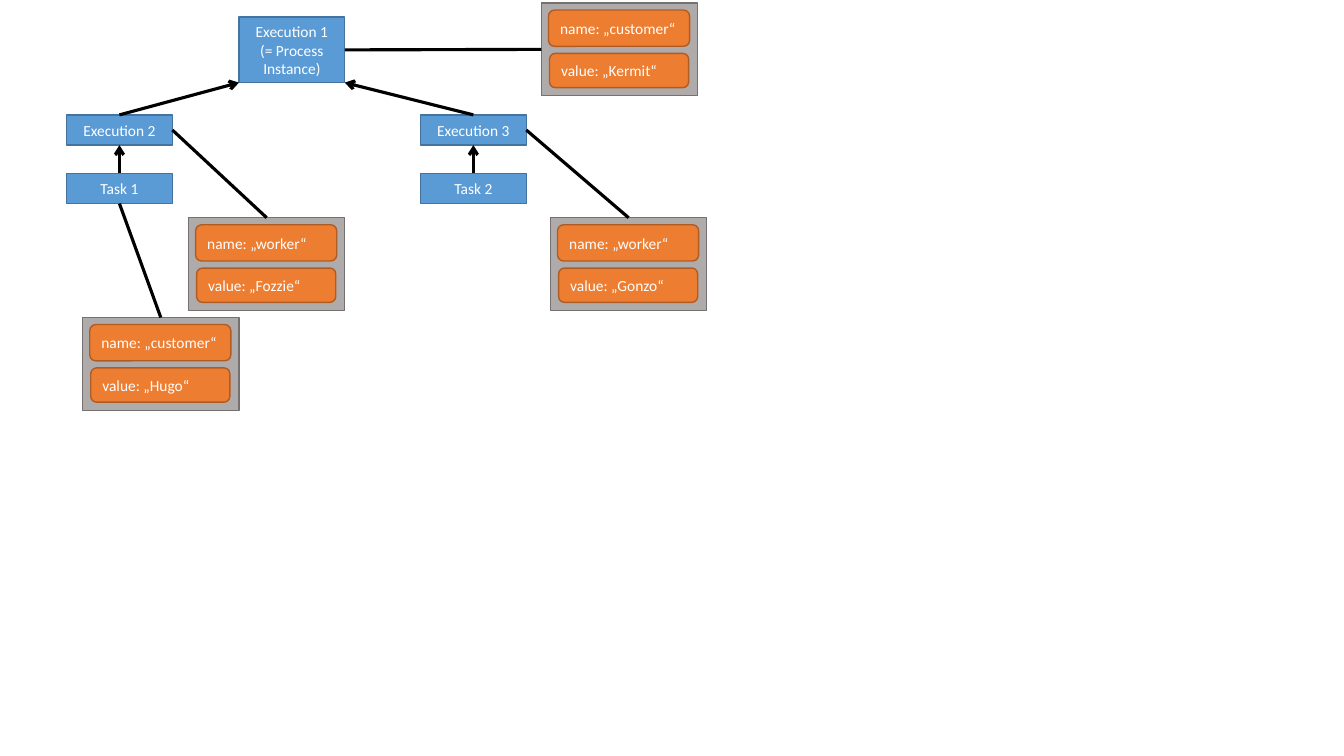
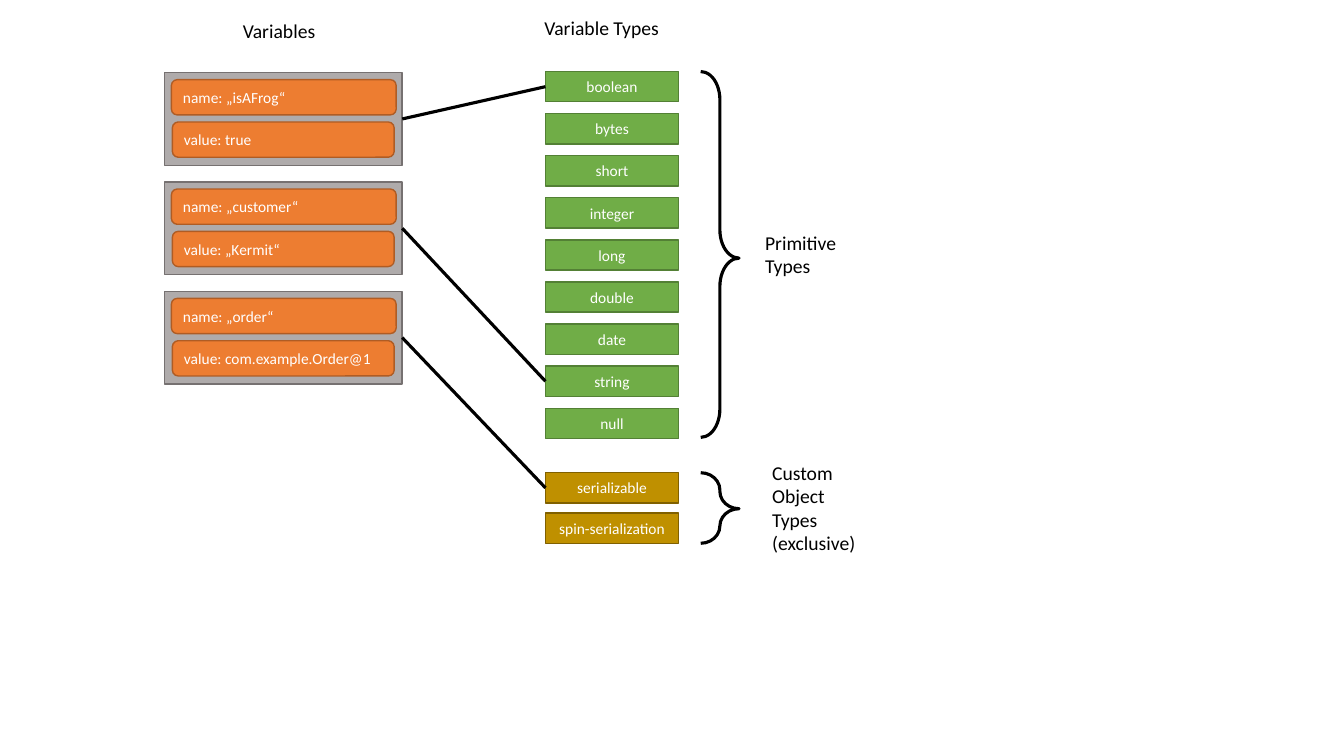
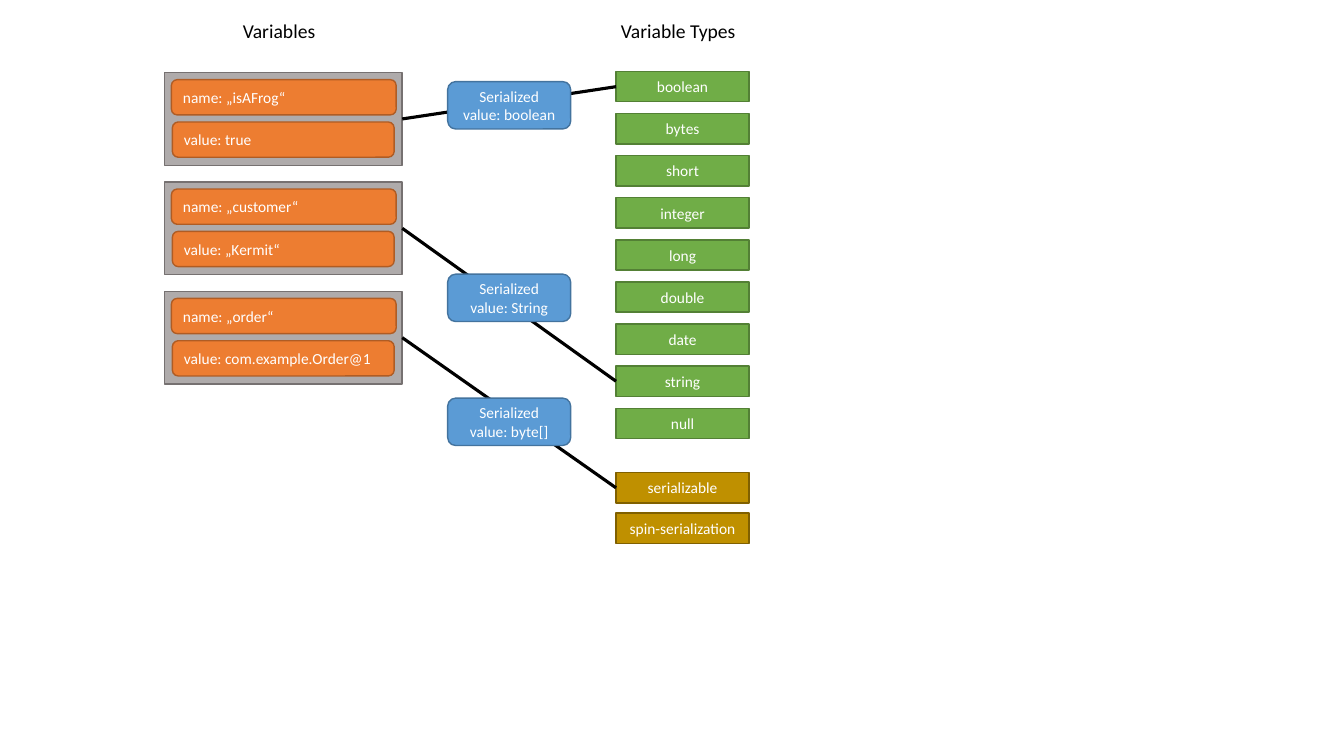
from dataclasses import dataclass

from lxml import etree
from pptx import Presentation
from pptx.dml.color import RGBColor
from pptx.enum.shapes import MSO_CONNECTOR, MSO_SHAPE as Preset
from pptx.enum.text import MSO_ANCHOR, MSO_AUTO_SIZE, PP_ALIGN as Align
from pptx.oxml.ns import qn
from pptx.util import Emu, Pt

PX = 9144  # EMU per px, 100 px to the inch


# Theme: colours are (fill, outline) pairs, sizes are points
@dataclass(frozen=True)
class Theme:
    font: str = "Calibri"
    box_size: int = 11
    label_size: int = 14
    border: float = 1
    stroke: float = 2.25
    white: str = "FFFFFF"
    black: str = "000000"
    blue: tuple = ("5B9BD5", "43739E")
    green: tuple = ("70AD47", "538035")
    gold: tuple = ("BF9000", "806000")
    grey: tuple = ("AFABAB", "767171")
    orange: tuple = ("ED7D31", "AF5C24")


THEME = Theme()

# Execution tree: key -> (paragraphs, frame)
EXECUTIONS = {
    "execution 1": (["Execution 1", "(= Process Instance)"], (237, 17, 105, 65)),
    "execution 2": (["Execution 2"], (66, 114, 105, 30)),
    "execution 3": (["Execution 3"], (417, 114, 105, 30)),
    "task 1": (["Task 1"], (66, 172, 105, 30)),
    "task 2": (["Task 2"], (417, 172, 105, 30)),
}
PARENTS = [  # child, parent, side of the parent
    ("task 2", "execution 3", "bottom"),
    ("execution 3", "execution 1", "bottom right"),
    ("execution 2", "execution 1", "bottom left"),
    ("task 1", "execution 2", "bottom"),
]
SCOPED_VARIABLES = [  # name, value, left, top, card side, owner, owner side
    ("„worker“", "„Fozzie“", 187, 216, "top", "execution 2", "right"),
    ("„worker“", "„Gonzo“", 546, 216, "top", "execution 3", "right"),
    ("„customer“", "„Kermit“", 537, 3, "left", "execution 1", "right"),
    ("„customer“", "„Hugo“", 82, 315, "top", "task 1", "bottom"),
]

# Variables and their types
TYPED_VARIABLES = [  # name, value, type
    ("„isAFrog“", "true", "boolean"),
    ("„customer“", "„Kermit“", "string"),
    ("„order“", "com.example.Order@1", "serializable"),
]
TYPE_GROUPS = [  # types, colours, first top, last top
    (["boolean", "bytes", "short", "integer", "long", "double", "date",
      "string", "null"], THEME.green, 71, 405),
    (["serializable", "spin-serialization"], THEME.gold, 469, 509),
]
BRACES = [  # brace top, height, paragraphs, label frame
    (71, 363, ["Primitive Types"], (749, 224, 94, 57)),
    (469, 70, ["Custom Object Types", "(exclusive)"], (756, 452, 113, 104)),
]
SERIALIZED = [("boolean", 81), ("String", 272), ("byte[]", 395)]  # type, top

# Card sizes: (width, height), name offset frame, value offset frame
NARROW_CARD = ((155, 92), (7, 7, 140, 36), (8, 50, 138, 34))
WIDE_CARD = ((236, 92), (7, 7, 223, 35), (8, 49, 220, 35))
CARD_LEFT, CARD_FIRST, CARD_LAST = 163, 72, 289
TYPE_SIZE = (132, 30)

# Sides: share of width, share of height, connection site
SIDES = {
    "top": (0.5, 0, 0), "left": (0, 0.5, 1),
    "bottom": (0.5, 1, 2), "right": (1, 0.5, 3),
    "bottom left": (0, 1, None), "bottom right": (1, 1, None),
}


def emu(*lengths):
    return [Emu(round(length * PX)) for length in lengths]


def spread(first, last, count):
    """Equally spaced positions from first to last."""
    return [first + i * (last - first) / (count - 1) for i in range(count)]


def write(frame, paragraphs, size, colour, align):
    frame.word_wrap = True
    for i, words in enumerate(paragraphs):
        paragraph = frame.paragraphs[0] if i == 0 else frame.add_paragraph()
        paragraph.alignment = align
        run = paragraph.add_run()
        run.text = words
        run.font.name = THEME.font
        run.font.size = Pt(size)
        run.font.color.rgb = RGBColor.from_string(colour)


def outline(line, colour, width):
    line.color.rgb = RGBColor.from_string(colour)
    line.width = Pt(width)


def add_box(shapes, bounds, colours, paragraphs=(), preset=Preset.RECTANGLE,
            align=Align.CENTER):
    box = shapes.add_shape(preset, *emu(*bounds))
    box.shadow.inherit = False
    fill, border = colours
    box.fill.solid()
    box.fill.fore_color.rgb = RGBColor.from_string(fill)
    outline(box.line, border, THEME.border)
    box.text_frame.vertical_anchor = MSO_ANCHOR.MIDDLE
    write(box.text_frame, paragraphs, THEME.box_size, THEME.white, align)
    return box


def add_label(slide, paragraphs, bounds):
    label = slide.shapes.add_textbox(*emu(*bounds))
    write(label.text_frame, paragraphs, THEME.label_size, THEME.black, Align.LEFT)
    label.text_frame.auto_size = MSO_AUTO_SIZE.SHAPE_TO_FIT_TEXT


def add_card(slide, name, value, left, top, card_style):
    """Grey card holding the name and value of one variable."""
    size, *rows = card_style
    group = slide.shapes.add_group_shape().shapes
    card = add_box(group, (left, top, *size), THEME.grey)
    texts = (f"name: {name}", f"value: {value}")
    for words, (dx, dy, width, height) in zip(texts, rows):
        add_box(group, (left + dx, top + dy, width, height), THEME.orange,
                [words], Preset.ROUNDED_RECTANGLE, Align.LEFT)
    return card


def connect(slide, start, start_side, end, end_side, arrow=False):
    points = []
    for box, side in ((start, start_side), (end, end_side)):
        across, down, _ = SIDES[side]
        points += [Emu(round(box.left + across * box.width)),
                   Emu(round(box.top + down * box.height))]
    link = slide.shapes.add_connector(MSO_CONNECTOR.STRAIGHT, *points)
    for glue, box, side in ((link.begin_connect, start, start_side),
                            (link.end_connect, end, end_side)):
        site = SIDES[side][2]
        if site is not None:
            glue(box, site)
    outline(link.line, THEME.black, THEME.stroke)
    properties = link.line._get_or_add_ln()
    if arrow:
        etree.SubElement(properties, qn("a:tailEnd"), type="arrow")
    etree.SubElement(properties.getparent(), qn("a:effectLst"))


def add_brace(slide, top, height):
    brace = slide.shapes.add_shape(Preset.RIGHT_BRACE, *emu(695, top, 38, height))
    brace.shadow.inherit = False
    brace.fill.background()
    brace.adjustments[0], brace.adjustments[1] = 0.74, 0.51
    outline(brace.line, THEME.black, THEME.stroke)


def build_executions(slide):
    nodes = {key: add_box(slide.shapes, bounds, THEME.blue, paragraphs)
             for key, (paragraphs, bounds) in EXECUTIONS.items()}
    for child, parent, side in PARENTS:
        connect(slide, nodes[child], "top", nodes[parent], side, arrow=True)
    for name, value, left, top, side, owner, owner_side in SCOPED_VARIABLES:
        card = add_card(slide, name, value, left, top, NARROW_CARD)
        connect(slide, card, side, nodes[owner], owner_side)


def build_variable_types(slide, types_left, heading_at):
    """Variable cards on the left, each linked to its type on the right."""
    add_label(slide, ["Variables"], (231, 14, 101, 34))
    add_label(slide, ["Variable Types"], (*heading_at, 142, 34))
    types = {}
    for names, colours, first, last in TYPE_GROUPS:
        for name, top in zip(names, spread(first, last, len(names))):
            types[name] = add_box(slide.shapes, (types_left, top, *TYPE_SIZE),
                                  colours, [name])
    tops = spread(CARD_FIRST, CARD_LAST, len(TYPED_VARIABLES))
    for (name, value, kind), top in zip(TYPED_VARIABLES, tops):
        card = add_card(slide, name, value, CARD_LEFT, top, WIDE_CARD)
        connect(slide, types[kind], "left", card, "right")


def main():
    deck = Presentation()
    deck.slide_width, deck.slide_height = emu(1333, 750)
    blank = deck.slide_layouts[6]

    # Execution tree with its variables
    build_executions(deck.slides.add_slide(blank))

    # Variable types, bracketed by family
    families = deck.slides.add_slide(blank)
    build_variable_types(families, 541, (530, 11))
    for top, height, paragraphs, bounds in BRACES:
        add_brace(families, top, height)
        add_label(families, paragraphs, bounds)

    # Serialized value on each link
    serialization = deck.slides.add_slide(blank)
    build_variable_types(serialization, 611, (606, 14))
    for kind, top in SERIALIZED:
        add_box(serialization.shapes, (444, top, 122, 47), THEME.blue,
                [f"Serialized value: {kind}"], Preset.ROUNDED_RECTANGLE)

    deck.save("out.pptx")


if __name__ == "__main__":
    main()
